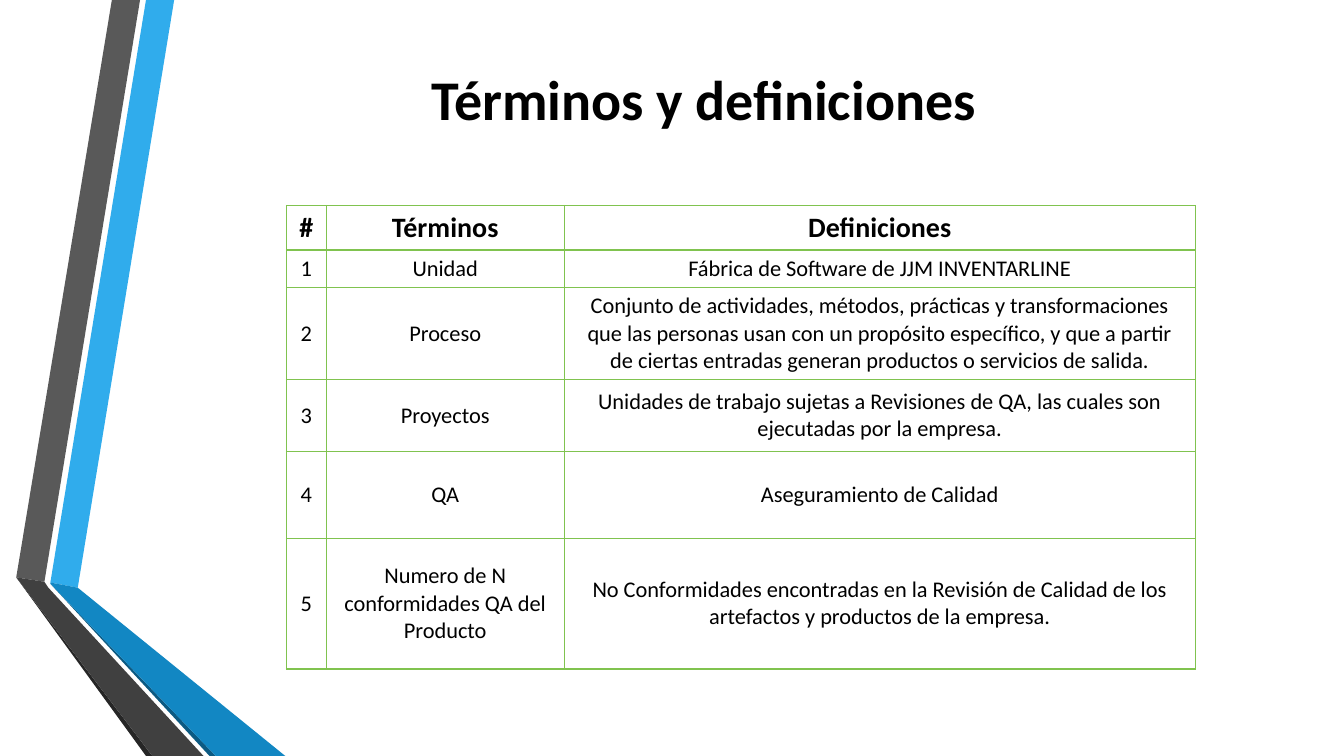
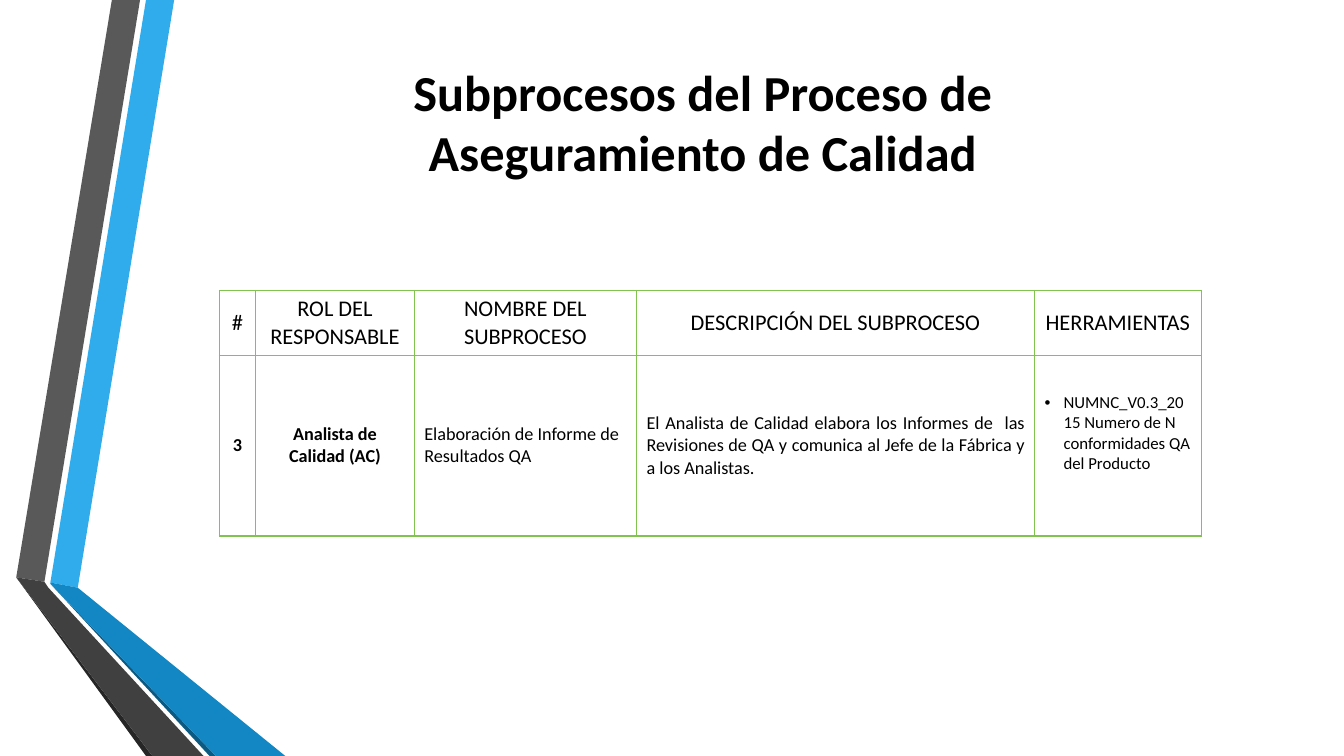
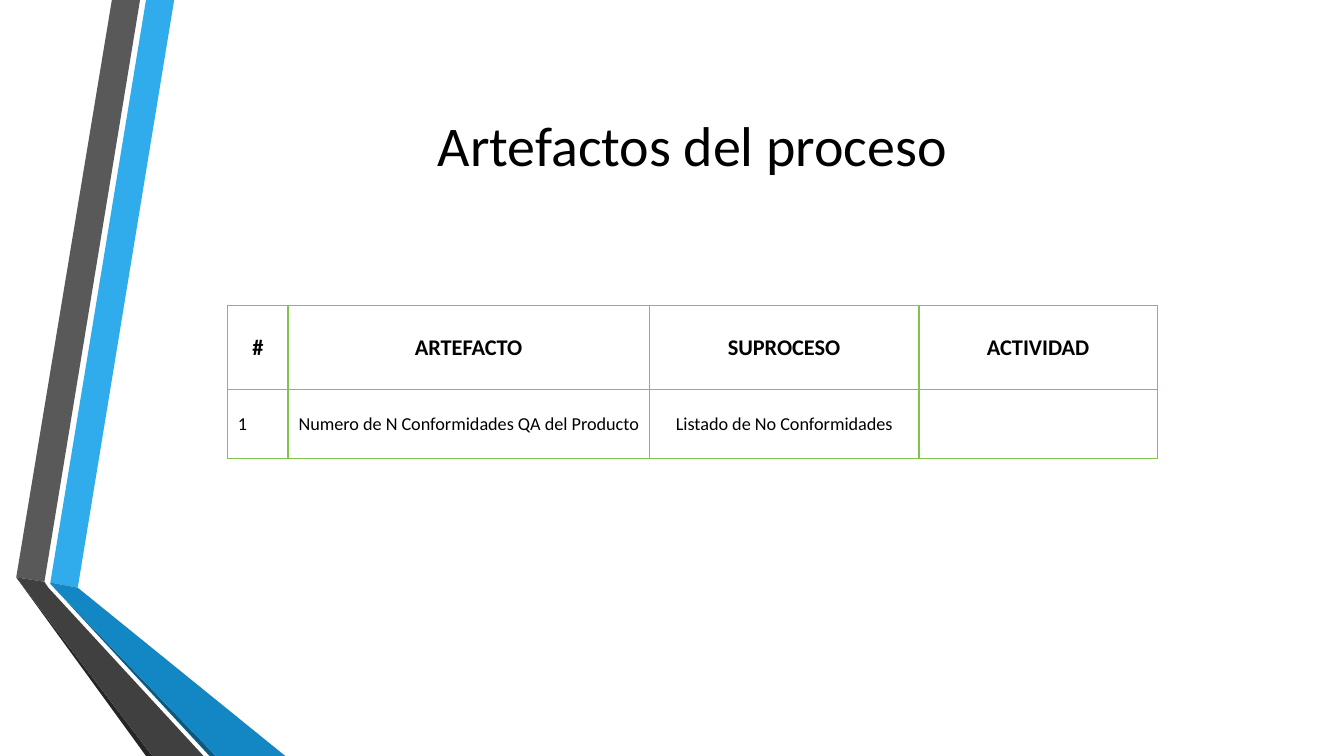
from dataclasses import dataclass

from lxml import etree
from pptx import Presentation
from pptx import util as u
from pptx.dml.color import RGBColor
from pptx.enum import text as t
from pptx.oxml import ns

Cm, Pt = u.Cm, u.Pt
FONT = "Calibri"
INK = "000000"
RULE = "80C34F"
MID = t.PP_ALIGN.CENTER
LEFT = t.PP_ALIGN.LEFT
FULL = t.PP_ALIGN.JUSTIFY


@dataclass(frozen=True)
class Band:
    fill: str
    pts: tuple


@dataclass(frozen=True)
class Look:
    size: float
    bold: bool = False
    align: int = MID
    bullet: bool = False


@dataclass(frozen=True)
class Head:
    text: str
    box: tuple
    look: Look


@dataclass(frozen=True)
class Grid:
    spot: tuple
    cols: tuple
    rows: tuple
    top: Look       # header row
    body: tuple     # one look per column
    cells: tuple


@dataclass(frozen=True)
class Page:
    head: Head
    grid: Grid


# Shared ribbon on the left edge, points in cm
END = 19.05
BANDS = (
    Band("30ACEC", ((1.27, 14.68), (1.96, 14.81), (4.39, 0), (3.68, 0))),
    Band("595959", ((3.53, 0), (2.82, 0), (0.41, 14.55), (1.12, 14.66))),
    Band("262626", ((0.41, 14.55), (3.68, END), (3.84, END))),
    Band("0C5A82", ((1.27, 14.71), (5.28, END), (5.44, END))),
    Band("1287C3", ((1.27, 14.71), (5.44, END), (7.19, END),
                    (1.96, 14.81), (1.27, 14.68))),
    Band("404040", ((5.13, END), (1.22, 14.81), (1.12, 14.66),
                    (0.41, 14.55), (3.84, END))),
)


# Drawing tools
def color(code: str) -> RGBColor:
    return RGBColor.from_string(code)


def put(item: object, values: dict) -> None:
    for name, value in values.items():
        setattr(item, name, value)


def write(frame: object, words: str, look: Look) -> None:
    para = frame.paragraphs[0]
    para.alignment = look.align
    run = para.add_run()
    run.text = words
    put(run.font, {"name": FONT, "size": Pt(look.size), "bold": look.bold})
    run.font.color.rgb = color(INK)
    if look.bullet:
        props = para._p.get_or_add_pPr()
        props.set("marL", str(Cm(0.48)))
        props.set("indent", str(-Cm(0.48)))
        etree.SubElement(props, ns.qn("a:buFont"), typeface="Arial")
        etree.SubElement(props, ns.qn("a:buChar"), char="•")


def ribbon(slide: object) -> None:
    for band in BANDS:
        first, *rest = [(Cm(x), Cm(y)) for x, y in band.pts]
        pen = slide.shapes.build_freeform(*first)
        pen.add_line_segments(rest, close=True)
        shape = pen.convert_to_shape()
        shape.shadow.inherit = False
        shape.fill.solid()
        shape.fill.fore_color.rgb = color(band.fill)
        shape.line.fill.background()


def title(slide: object, head: Head) -> None:
    shape = slide.shapes.title
    sides = ("left", "top", "width", "height")
    put(shape, {side: Cm(n) for side, n in zip(sides, head.box)})
    put(shape.text_frame, {"word_wrap": True,
                           "auto_size": t.MSO_AUTO_SIZE.NONE,
                           "vertical_anchor": t.MSO_ANCHOR.MIDDLE})
    write(shape.text_frame, head.text, head.look)


def border(cell: object) -> None:
    props = cell._tc.get_or_add_tcPr()
    for side in ("lnL", "lnR", "lnT", "lnB"):
        line = etree.SubElement(props, ns.qn(f"a:{side}"), w=str(Pt(1)))
        fill = etree.SubElement(line, ns.qn("a:solidFill"))
        etree.SubElement(fill, ns.qn("a:srgbClr"), val=RULE)


def table(slide: object, grid: Grid) -> None:
    size = (len(grid.rows), len(grid.cols))
    area = (*grid.spot, sum(grid.cols), sum(grid.rows))
    tab = slide.shapes.add_table(*size, *map(Cm, area)).table
    put(tab, {"first_row": False, "horz_banding": False})
    for col, wide in zip(tab.columns, grid.cols):
        col.width = Cm(wide)
    for row, tall in zip(tab.rows, grid.rows):
        row.height = Cm(tall)
    for r, line in enumerate(grid.cells):
        for c, words in enumerate(line):
            cell = tab.cell(r, c)
            look = grid.body[c] if r else grid.top
            border(cell)
            cell.fill.background()
            cell.vertical_anchor = t.MSO_ANCHOR.MIDDLE
            if look.bullet:
                cell.margin_bottom = Cm(0.74)
            if words:
                write(cell.text_frame, words, look)


# Content
PAGES = (
    Page(
        Head("Términos y definiciones", (3.81, 0.46, 27.84, 4.01),
             Look(40, True)),
        Grid((7.22, 5.18), (1, 6, 15.9), (1.12, 0.94, 2.32, 1.8, 2.19, 3.3),
             Look(20, True), (Look(16),) * 3, (
            ("#", "Términos", "Definiciones"),
            ("1", "Unidad", "Fábrica de Software de JJM INVENTARLINE"),
            ("2", "Proceso",
             "Conjunto de actividades, métodos, prácticas y transformaciones "
             "que las personas usan con un propósito específico, y que a "
             "partir de ciertas entradas generan productos o servicios de "
             "salida."),
            ("3", "Proyectos",
             "Unidades de trabajo sujetas a Revisiones de QA, las cuales son "
             "ejecutadas por la empresa."),
            ("4", "QA", "Aseguramiento de Calidad"),
            ("5", "Numero de N conformidades QA del Producto",
             "No Conformidades encontradas en la Revisión de Calidad de los "
             "artefactos y productos de la empresa."),
        ))),
    Page(
        Head("Subprocesos del Proceso de Aseguramiento de Calidad",
             (7.34, 1.47, 20.75, 3.18), Look(36, True)),
        Grid((5.53, 7.32), (0.91, 4, 5.6, 10.03, 4.2), (1.61, 4.55),
             Look(16),
             (Look(13, True), Look(13, True), Look(13, align=LEFT),
              Look(13, align=FULL), Look(12, align=LEFT, bullet=True)), (
            ("#", "ROL DEL RESPONSABLE", "NOMBRE DEL SUBPROCESO",
             "DESCRIPCIÓN DEL SUBPROCESO", "HERRAMIENTAS"),
            ("3", "Analista de Calidad (AC)",
             "Elaboración de Informe de Resultados QA",
             "El Analista de Calidad elabora los Informes de  las Revisiones "
             "de QA y comunica al Jefe de la Fábrica y a los Analistas.",
             "NUMNC_V0.3_2015 Numero de N conformidades QA del Producto"),
        ))),
    Page(
        Head("Artefactos del proceso", (3.53, 1.19, 27.84, 4.88), Look(40)),
        Grid((5.74, 7.7), (1.52, 9.1, 6.8, 6), (2.11, 1.75),
             Look(16, True),
             (Look(13, align=FULL), Look(13), Look(13), Look(13)), (
            ("#", "ARTEFACTO", "SUPROCESO", "ACTIVIDAD"),
            ("1", "Numero de N Conformidades QA del Producto",
             "Listado de No Conformidades", ""),
        ))),
)


# Build
deck = Presentation()
put(deck, {"slide_width": Cm(33.87), "slide_height": Cm(END)})
for page in PAGES:
    slide = deck.slides.add_slide(deck.slide_layouts[5])
    ribbon(slide)
    title(slide, page.head)
    table(slide, page.grid)
deck.save("out.pptx")
